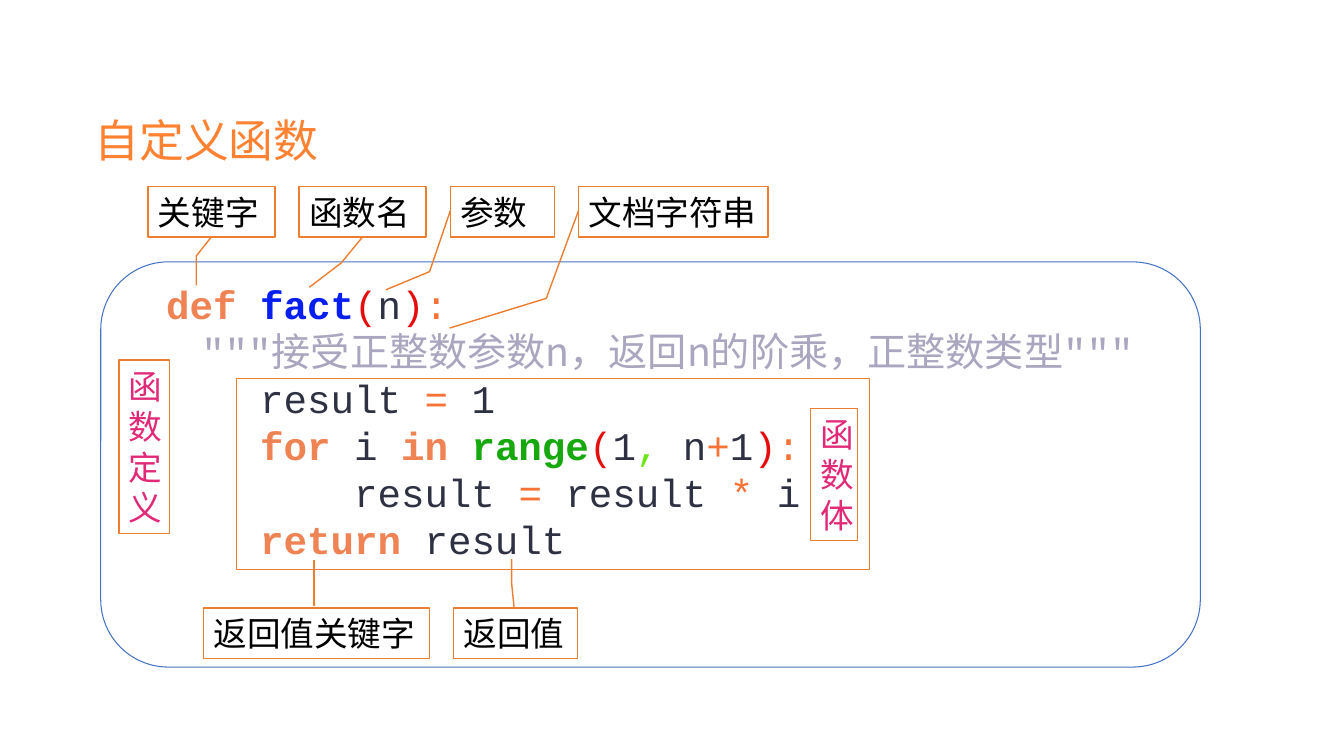
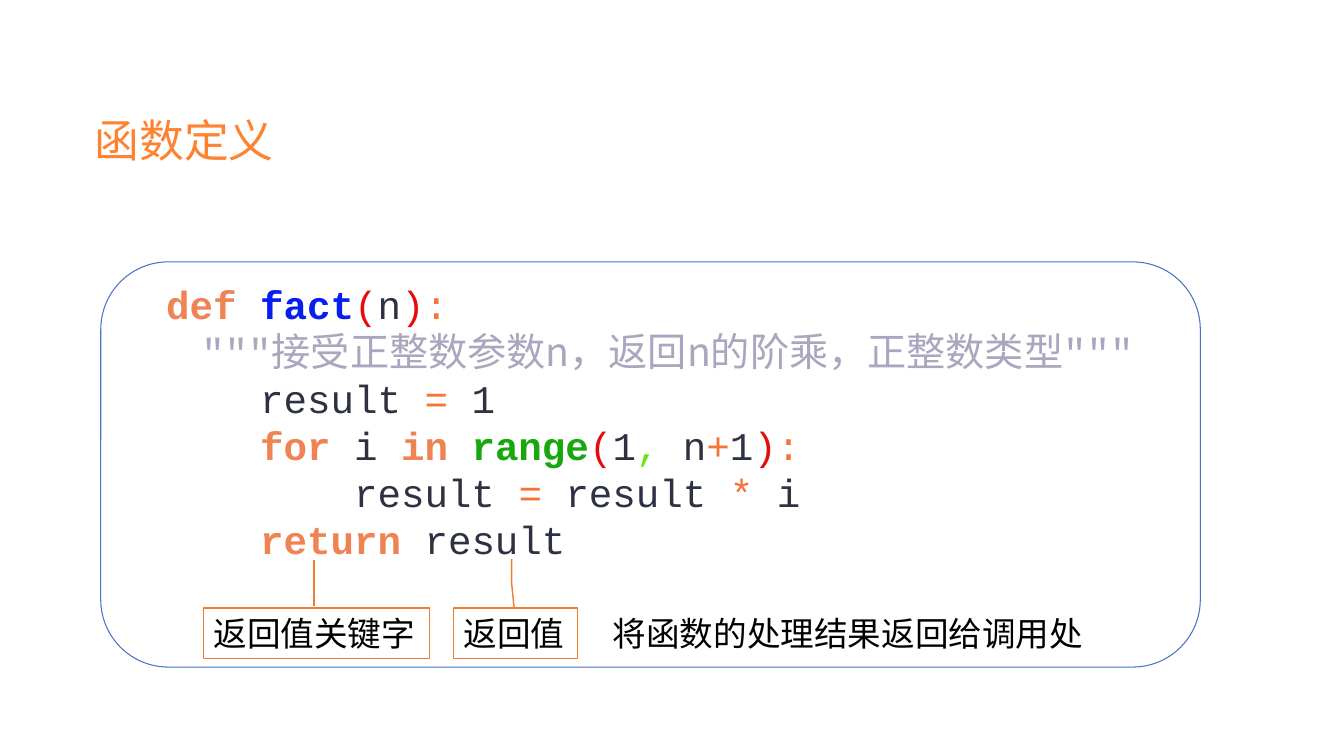
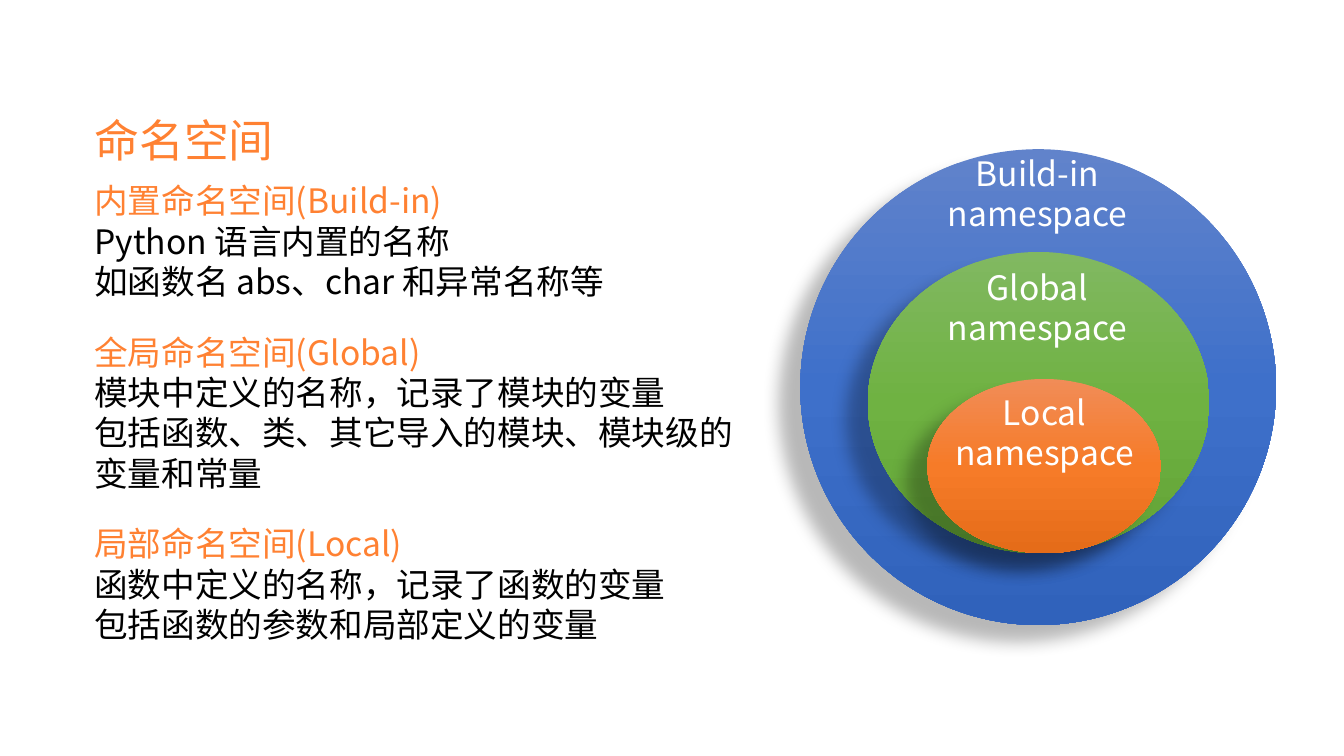
import dataclasses

import pptx
import pptx.dml.color
import pptx.enum.shapes
import pptx.enum.text
import pptx.oxml
import pptx.oxml.ns
import pptx.util

Cm, Pt = pptx.util.Cm, pptx.util.Pt
SHAPE = pptx.enum.shapes.MSO_SHAPE
ALIGN = pptx.enum.text.PP_ALIGN
ANCHOR = pptx.enum.text.MSO_ANCHOR
qn = pptx.oxml.ns.qn
NS = pptx.oxml.ns.nsdecls("a")


@dataclasses.dataclass(frozen=True)
class Theme:
    sans: str = "Noto Sans CJK SC"
    mono: str = "Courier New"
    label: str = "Arial"
    head: int = 32
    code: int = 28
    body: int = 24
    accent: str = "FF8132"
    edge: str = "ED7D31"
    frame: str = "4472C4"
    pink: str = "E22978"
    black: str = "000000"
    white: str = "FFFFFF"
    blues: tuple = ("6183CB", "3E70CA", "3062BB")
    greens: tuple = ("81B861", "6FB242", "62A336")
    oranges: tuple = ("F18C57", "F67B28", "E56C19")


THEME = Theme()

# Formats of the code tokens
KEY = dict(color="EF8354", bold=True)
NAME = dict(color="071EF0", bold=True)
CALL = dict(color="16A80D", bold=True)
PAREN = dict(color="E70C0C")
VAR = dict(color="2D3142")
SIGN = dict(color="F77235")
COMMA = dict(color="6AE613")
QUOTE = dict(color="ABA6BF")
DOC = dict(color="ABA6BF", font=THEME.sans)

CODE = [
    [("def ", KEY), ("fact", NAME), ("(", PAREN), ("n", VAR), (")", PAREN),
     (":", SIGN)],
    [("    ", DOC), ('"""', QUOTE), ("接受正整数参数n，返回n的阶乘，正整数类型", DOC),
     ('"""', QUOTE)],
    [("    result ", VAR), ("= ", SIGN), ("1", VAR)],
    [("    for ", KEY), ("i ", VAR), ("in ", KEY), ("range", CALL), ("(", PAREN),
     ("1", VAR), (", ", COMMA), ("n", VAR), ("+", SIGN), ("1", VAR),
     (")", PAREN), (":", SIGN)],
    [("        result ", VAR), ("= ", SIGN), ("result ", VAR), ("* ", SIGN),
     ("i", VAR)],
    [("    return ", KEY), ("result", VAR)],
]


def rgb(code):
    return pptx.dml.color.RGBColor.from_string(code)


def style(run, font, size, color, bold=False):
    run.font.name = font
    run.font.size = Pt(size)
    run.font.bold = bold
    run.font.color.rgb = rgb(color)
    latin = run.font._element.find(qn("a:latin"))
    latin.addnext(pptx.oxml.parse_xml(f'<a:ea {NS} typeface="{THEME.sans}"/>'))


def write(frame, lines, align=ALIGN.LEFT, anchor=ANCHOR.TOP, wrap=True, **form):
    """Fill a frame; a line is a string or a list of (text, format) runs."""
    frame.word_wrap = wrap
    frame.vertical_anchor = anchor
    frame.auto_size = pptx.enum.text.MSO_AUTO_SIZE.NONE
    base = dict(font=THEME.sans, size=THEME.body, color=THEME.black) | form
    for at, line in enumerate(lines):
        para = frame.add_paragraph() if at else frame.paragraphs[0]
        para.alignment = align
        for words, extra in [(line, {})] if isinstance(line, str) else line:
            run = para.add_run()
            run.text = words
            style(run, **(base | extra))


class Deck:
    def __init__(self):
        self.show = pptx.Presentation()
        self.show.slide_width = Cm(33.87)
        self.show.slide_height = Cm(19.05)
        self.slide = None

    def page(self, title):
        self.slide = self.show.slides.add_slide(self.show.slide_layouts[5])
        head = self.slide.shapes.title
        head.left, head.top = Cm(2.13), Cm(2.72)
        head.width, head.height = Cm(6.22), Cm(1.63)
        write(head.text_frame, [title], wrap=False, size=THEME.head,
              color=THEME.accent)

    def text(self, lines, x, y, w, h, **form):
        box = self.slide.shapes.add_textbox(Cm(x), Cm(y), Cm(w), Cm(h))
        write(box.text_frame, lines, **form)

    def shape(self, kind, x, y, w, h, fill=None, line=None, width=1.0):
        item = self.slide.shapes.add_shape(kind, Cm(x), Cm(y), Cm(w), Cm(h))
        item.shadow.inherit = False
        if fill:
            item.fill.solid()
            item.fill.fore_color.rgb = rgb(fill)
        else:
            item.fill.background()
        if line:
            item.line.color.rgb = rgb(line)
            item.line.width = Pt(width)
        else:
            item.line.fill.background()
        return item

    def callout(self, words, x, y, w, bends):
        """Label with a bent leader; bends are y, x pairs in shares of its size."""
        item = self.shape(SHAPE.LINE_CALLOUT_2, x, y, w, 1.27, THEME.white,
                          THEME.edge)
        for at, bend in enumerate(bends):
            item.adjustments[at] = bend
        write(item.text_frame, [words], anchor=ANCHOR.MIDDLE, font=THEME.label)

    def tag(self, words, x, y, w, h):
        item = self.shape(SHAPE.RECTANGLE, x, y, w, h, THEME.white, THEME.edge)
        write(item.text_frame, [words], anchor=ANCHOR.MIDDLE, font=THEME.mono,
              color=THEME.pink)

    def oval(self, x, y, w, h, tints):
        """Ellipse with a vertical gradient and a soft shadow to the lower left."""
        item = self.shape(SHAPE.OVAL, x, y, w, h)
        props = item._element.spPr
        stops = "".join(
            f'<a:gs pos="{at * 50000}"><a:srgbClr val="{tint}"/></a:gs>'
            for at, tint in enumerate(tints))
        props.replace(props.find(qn("a:noFill")), pptx.oxml.parse_xml(
            f'<a:gradFill {NS} rotWithShape="1"><a:gsLst>{stops}</a:gsLst>'
            '<a:lin ang="5400000" scaled="0"/></a:gradFill>'))
        props.find(qn("a:effectLst")).append(pptx.oxml.parse_xml(
            f'<a:outerShdw {NS} blurRad="{Pt(11.8)}" dist="{Pt(19.7)}" '
            f'dir="{141 * 60000}" rotWithShape="0"><a:srgbClr val="{THEME.black}">'
            '<a:alpha val="28000"/></a:srgbClr></a:outerShdw>'))

    def code(self):
        """Code listing in its frame, with the labels of the return line."""
        self.text(CODE, 3.94, 6.93, 26.8, 7.44, font=THEME.mono, size=THEME.code)
        self.callout("返回值关键字", 5.13, 15.32, 5.69,
                     (-0.03, 0.49, -0.95, 0.49, -0.95, 0.49))
        self.callout("返回值", 11.43, 15.32, 3.12,
                     (0.01, 0.49, -0.48, 0.47, -0.97, 0.47))
        self.shape(SHAPE.ROUNDED_RECTANGLE, 2.54, 6.6, 27.71, 10.21,
                   line=THEME.frame, width=0.75)


def main():
    deck = Deck()

    deck.page("自定义函数")
    deck.code()
    for words, x, w, bends in (
        ("关键字", 3.73, 3.2, (1, 0.5, 1.38, 0.38, 1.96, 0.38)),
        ("函数名", 7.54, 3.2, (1, 0.5, 1.52, 0.33, 2, 0.08)),
        ("参数", 11.35, 2.62, (0.48, 0, 1.69, -0.2, 2.05, -0.62)),
        ("文档字符串", 14.58, 4.78, (0.48, 0, 2.22, -0.17, 2.81, -0.68)),
    ):
        deck.callout(words, x, 4.7, w, bends)
    deck.tag("函数定义", 3, 9.07, 1.27, 4.37)
    deck.tag("函数体", 20.42, 10.29, 1.19, 3.33)
    deck.shape(SHAPE.RECTANGLE, 5.97, 9.53, 15.95, 4.83, line=THEME.edge,
               width=0.75)

    deck.page("函数定义")
    deck.code()
    deck.text(["将函数的处理结果返回给调用处"], 15.19, 15.32, 12.47, 1.27, wrap=False)

    deck.page("命名空间")
    deck.oval(20.17, 3.76, 11.99, 11.99, THEME.blues)
    deck.oval(21.87, 6.35, 8.61, 7.59, THEME.greens)
    deck.oval(23.37, 9.55, 5.89, 4.39, THEME.oranges)
    for scope, x, y in (("Build-in", 23.34, 3.73), ("Global", 23.34, 6.6),
                        ("Local", 23.52, 9.75)):
        deck.text([f"{scope} namespace"], x, y, 5.61, 2.31, align=ALIGN.CENTER,
                  color=THEME.white)
    for y, w, h, head, *lines in (
        (4.42, 16.94, 3.33, "内置命名空间(Build-in)",
         "Python 语言内置的名称", "如函数名 abs、char 和异常名称等"),
        (8.23, 16.94, 4.37, "全局命名空间(Global)",
         "模块中定义的名称，记录了模块的变量",
         "包括函数、类、其它导入的模块、模块级的变量和常量"),
        (13.06, 15.8, 3.33, "局部命名空间(Local)",
         "函数中定义的名称，记录了函数的变量", "包括函数的参数和局部定义的变量"),
    ):
        deck.text([[(head, dict(color=THEME.accent))], *lines], 2.13, y, w, h)

    deck.show.save("out.pptx")


if __name__ == "__main__":
    main()
